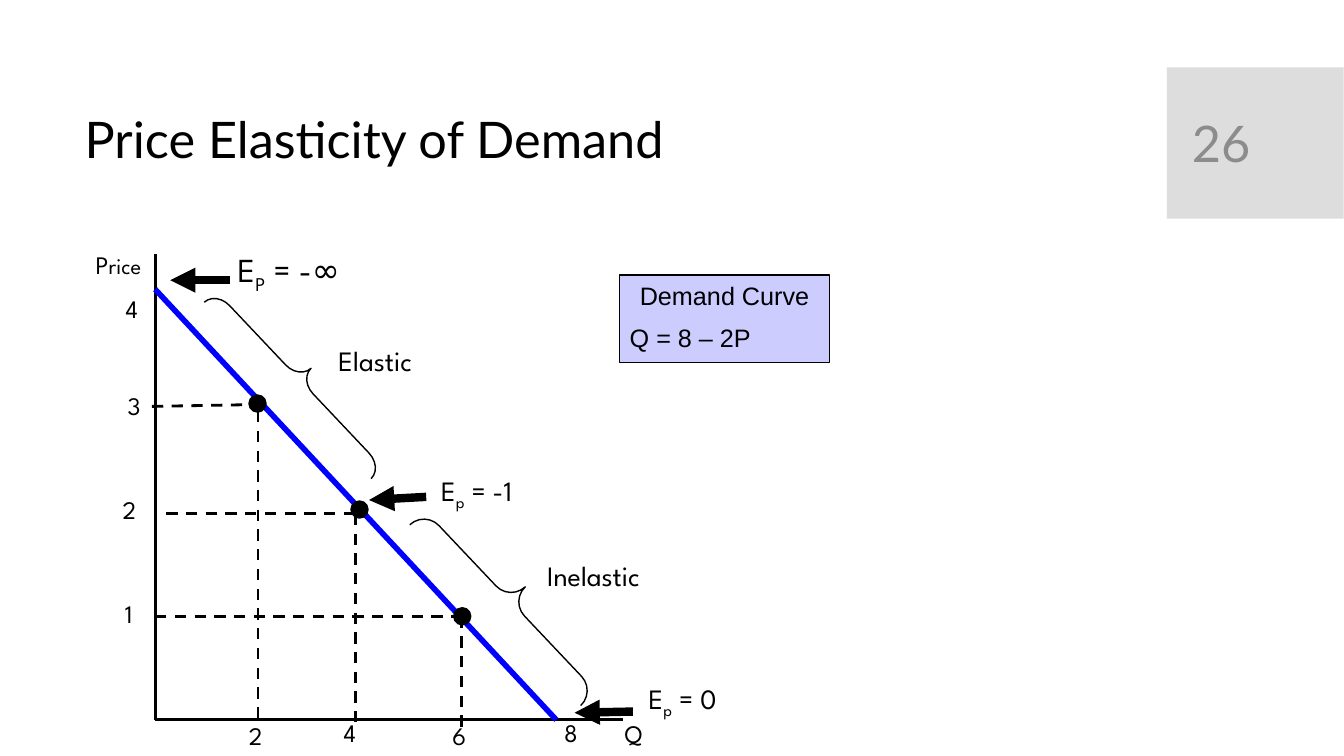
from dataclasses import dataclass

import lxml.etree
import pptx
import pptx.dml.color
import pptx.enum.dml
import pptx.enum.shapes
import pptx.enum.text
import pptx.oxml.ns
import pptx.util

Cm, Pt = pptx.util.Cm, pptx.util.Pt
RGB = pptx.dml.color.RGBColor.from_string
SHAPE = pptx.enum.shapes.MSO_SHAPE
ALIGN = pptx.enum.text.PP_ALIGN
ANCHOR = pptx.enum.text.MSO_ANCHOR


@dataclass(frozen=True)
class Theme:
    """Colours, fonts and type sizes of the slide."""
    ink: str = "000000"
    demand: str = "0000FF"
    panel: str = "CCCCFF"
    tab: str = "DDDDDD"
    page: str = "8C8C8C"
    head_font: str = "Lato"
    graph_font: str = "League Spartan"
    panel_font: str = "Arial"
    head: int = 36
    limit: int = 24
    label: int = 20
    tick: int = 18
    small: int = 16


T = Theme()


def style(r, size, font, color=T.ink):
    """Format one run."""
    r.font.size = Pt(size)
    r.font.name = font
    r.font.color.rgb = RGB(color)


def add_text(s, box, parts, size, font=T.graph_font, color=T.ink, align=ALIGN.LEFT):
    """Add a one-line text box made of the given run texts."""
    sp = s.shapes.add_textbox(*map(Cm, box))
    tf = sp.text_frame
    tf.word_wrap = False
    p = tf.paragraphs[0]
    p.alignment = align
    for part in parts:
        r = p.add_run()
        r.text = part
        style(r, size, font, color)
    return sp


def add_line(s, start, end, width, color=T.ink, dash=False, arrow=False):
    """Add a straight line, optionally dashed or with an arrowhead."""
    kind = pptx.enum.shapes.MSO_CONNECTOR.STRAIGHT
    cx = s.shapes.add_connector(kind, *map(Cm, (*start, *end)))
    cx.line.width = Pt(width)
    cx.line.color.rgb = RGB(color)
    if dash:
        cx.line.dash_style = pptx.enum.dml.MSO_LINE.DASH
    if arrow:
        ln = cx.line._get_or_add_ln()
        lxml.etree.SubElement(ln, pptx.oxml.ns.qn("a:tailEnd"), type="triangle")
    lxml.etree.SubElement(cx._element.spPr, pptx.oxml.ns.qn("a:effectLst"))


def add_shape(s, kind, box, fill=None, line=None):
    """Add a flat preset shape."""
    sp = s.shapes.add_shape(kind, *map(Cm, box))
    sp.shadow.inherit = False
    if fill:
        sp.fill.solid()
        sp.fill.fore_color.rgb = RGB(fill)
    else:
        sp.fill.background()
    if line:
        sp.line.color.rgb = RGB(line)
        sp.line.width = Pt(1)
    else:
        sp.line.fill.background()
    return sp


def add_title(s, box):
    """Place and format the title."""
    sp = s.shapes.title
    sp.left, sp.top, sp.width, sp.height = map(Cm, box)
    tf = sp.text_frame
    tf.text = "Price Elasticity of Demand"
    tf.vertical_anchor = ANCHOR.MIDDLE
    p = tf.paragraphs[0]
    p.alignment = ALIGN.LEFT
    p.line_spacing = 0.9
    style(p.runs[0], T.head, T.head_font)


def add_page_tab(s, box):
    """Draw the grey tab with the page number."""
    x, y, w, h = box
    add_shape(s, SHAPE.RECTANGLE, box, T.tab)
    sp = add_text(s, (x + 0.38, y + 0.38, w - 1.25, h - 0.79), ["26"],
                  T.head, T.head_font, T.page)
    sp.text_frame.word_wrap = True
    sp.text_frame.vertical_anchor = ANCHOR.MIDDLE


def add_equation(s, box):
    """Draw the panel with the demand equation."""
    sp = add_shape(s, SHAPE.RECTANGLE, box, T.panel, T.ink)
    tf = sp.text_frame
    tf.text = "Demand Curve\nQ = 8 – 2P"
    tf.vertical_anchor = ANCHOR.TOP
    head, equation = tf.paragraphs
    head.alignment = ALIGN.CENTER
    equation.alignment = ALIGN.LEFT
    equation.space_before = Pt(9)
    for p in tf.paragraphs:
        style(p.runs[0], T.tick, T.panel_font)


def add_graph(s, box):
    """Draw the demand graph, with its axes filling the box."""
    x, y, w, h = box

    def at(dx, dy):
        return x + dx, y + dy

    add_line(s, at(0, 0), at(0, h), 2)
    add_line(s, at(0, h), at(w, h), 2)
    add_line(s, at(0, 0.89), at(10.11, h), 4, T.demand)

    guides = [((-0.08, 3.84), (2.77, 3.79)), ((2.59, 3.96), (2.59, h)),
              ((0.28, 6.53), (5.13, 6.53)), ((5.06, 6.55), (5.06, h + 0.1)),
              ((0, 9.14), (7.85, 9.14)), ((7.72, 9.14), (7.72, h + 0.35))]
    for start, end in guides:
        add_line(s, at(*start), at(*end), 2, dash=True)

    dot = 0.43
    for dx, dy in [(2.58, 3.77), (5.15, 6.44), (7.74, 9.13)]:
        add_shape(s, SHAPE.OVAL, (*at(dx - dot / 2, dy - dot / 2), dot, dot), T.ink, T.ink)

    ticks = [("4", -0.99, 0.86), ("3", -0.94, 3.3), ("2", -1.07, 5.94), ("1", -1.01, 8.56),
             ("2", 2.11, 11.63), ("4", 4.5, 11.56), ("6", 7.24, 11.63), ("8", 10.06, 11.56)]
    for text, dx, dy in ticks:
        add_text(s, (*at(dx, dy), 0.86, 1.02), [text], T.tick)
    add_text(s, (*at(11.46, 11.58), 1.07, 1.02), ["Q"], T.tick, align=ALIGN.RIGHT)
    price = add_text(s, (*at(-2.03, -0.23), 1.93, 1.02), ["P", "rice"], T.tick,
                     align=ALIGN.RIGHT)
    price.text_frame.paragraphs[0].runs[1].font.size = Pt(T.small)

    elasticities = [("P", " = -∞", T.limit, (1.83, -0.25, 3.86, 1.27), (1.88, 0.66), (0.38, 0.66)),
                    ("p", " = -1", T.label, (6.96, 5.41, 2.67, 1.09), (6.83, 6.12), (5.39, 6.2)),
                    ("p", " = 0", T.label, (12.19, 10.64, 2.44, 1.09), (12.04, 11.53), (10.57, 11.56))]
    for sub, value, size, (dx, dy, tw, th), start, end in elasticities:
        sp = add_text(s, (*at(dx, dy), tw, th), ["E", sub, value], size)
        sp.text_frame.word_wrap = size == T.limit
        r = sp.text_frame.paragraphs[0].runs[1]
        r._r.get_or_add_rPr().set("baseline", "-25000")
        add_line(s, at(*start), at(*end), 6, arrow=True)

    ranges = [("Elastic", (4.37, 2.13), (3.23, 0.1, 0.81, 6.12), 0.62),
              ("Inelastic", (9.63, 7.54), (8.43, 5.61, 1.04, 6.27), 0.5)]
    for text, place, (dx, dy, bw, bh), curl in ranges:
        add_text(s, (*at(*place), 3.3, 1.09), [text], T.label)
        brace = add_shape(s, SHAPE.RIGHT_BRACE, (*at(dx, dy), bw, bh), line=T.ink)
        brace.adjustments[0] = curl
        brace.rotation = 316.6


def main():
    """Build the slide and save it."""
    prs = pptx.Presentation()
    prs.slide_width, prs.slide_height = Cm(33.87), Cm(19.05)
    s = prs.slides.add_slide(prs.slide_layouts[5])
    add_page_tab(s, (29.41, 1.7, 4.45, 3.81))
    add_title(s, (1.88, 2.08, 26.7, 3))
    add_graph(s, (3.91, 6.4, 11.79, 11.74))
    add_equation(s, (15.62, 6.93, 5.28, 2.21))
    prs.save("out.pptx")


if __name__ == "__main__":
    main()
